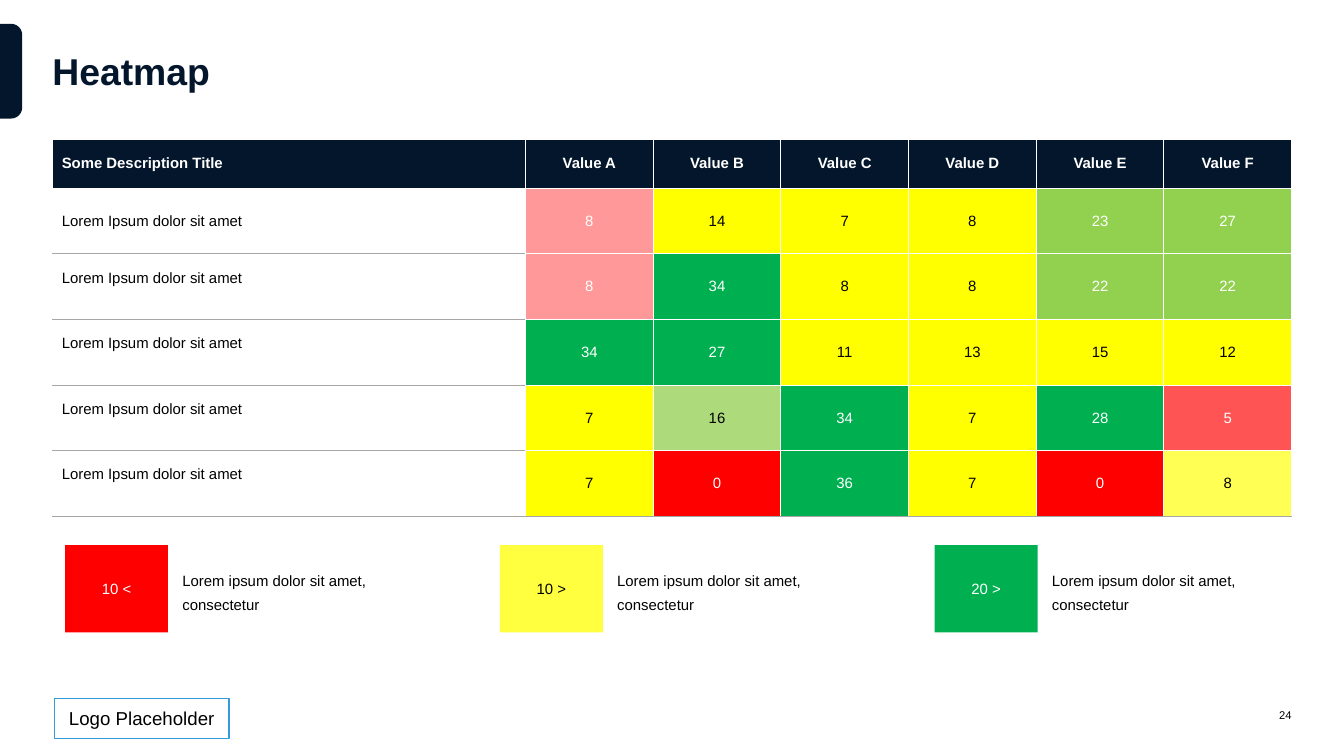
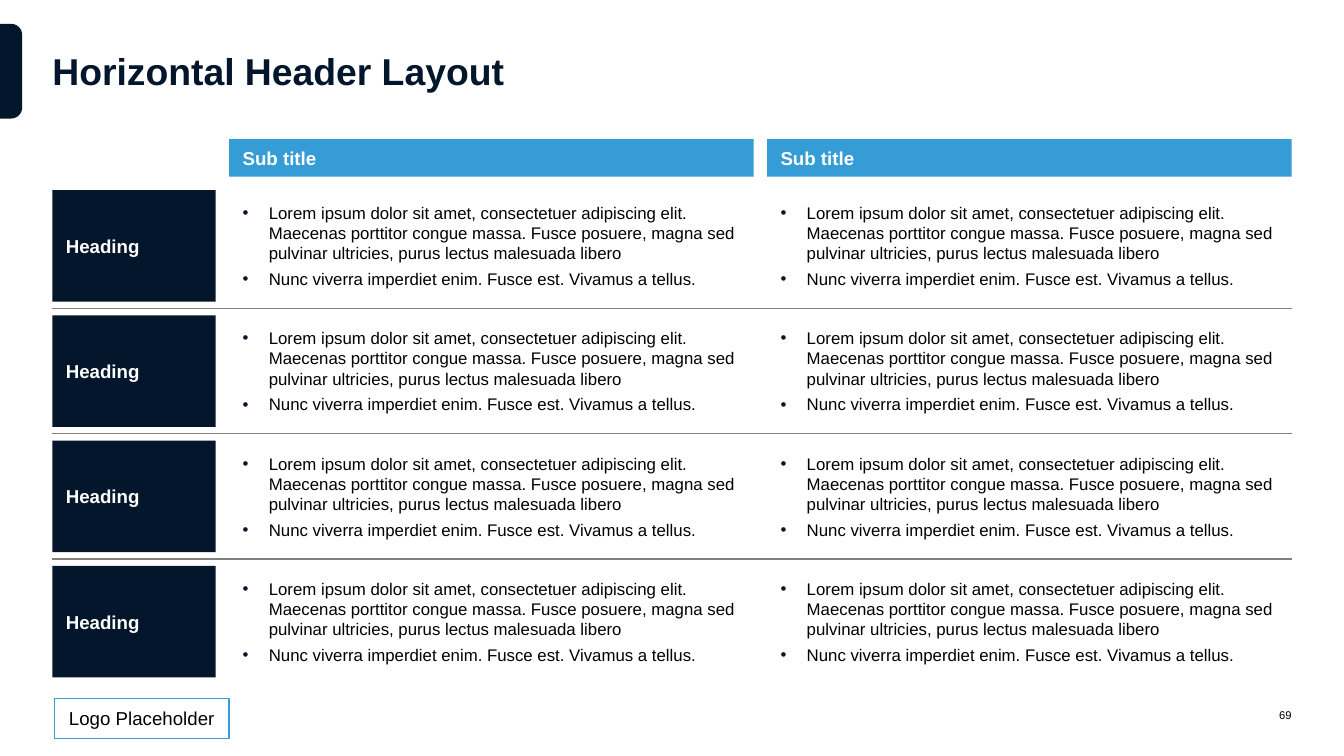
from dataclasses import dataclass
from typing import Any, NamedTuple

from lxml.etree import SubElement
from pptx import Presentation
from pptx.dml.color import RGBColor
from pptx.enum.shapes import MSO_CONNECTOR, MSO_SHAPE
from pptx.enum.text import MSO_ANCHOR, MSO_AUTO_SIZE, PP_ALIGN
from pptx.oxml.ns import qn
from pptx.oxml.xmlchemy import OxmlElement
from pptx.util import Inches, Pt

WIDTH, HEIGHT = 20, 11.25
FONT = "Arial"
COLORS = {
    "navy": "04162B", "blue": "359CD5", "white": "FFFFFF", "black": "000000",
    "silver": "A6A6A6", "gray": "808080", "red": "FF0000", "yellow": "FFFF00",
    "lime": "92D050", "green": "00B050",
}


class Box(NamedTuple):
    """Place and size in percent of the slide's width and height."""
    x: float
    y: float
    w: float
    h: float

    def emu(self) -> tuple[int, int, int, int]:
        return across(self.x), down(self.y), across(self.w), down(self.h)


class Tone(NamedTuple):
    color: str
    ink: str = "white"
    opacity: int = 100


@dataclass
class TextStyle:
    size: float
    color: str = "black"
    bold: bool = False
    align: PP_ALIGN = PP_ALIGN.LEFT
    line_spacing: float | None = None
    insets: tuple[float, float] = (0, 0)  # inches: sides, top and bottom


@dataclass
class HeatRow:
    values: tuple[int, ...]
    tones: str  # one key of TONES per value


class LegendItem(NamedTuple):
    limit: str
    tone: Tone


CENTER = PP_ALIGN.CENTER
TITLE = TextStyle(40, "navy", True)
LOGO = TextStyle(20, align=CENTER, insets=(0.1, 0.05))
NUMBER = TextStyle(12, align=PP_ALIGN.RIGHT)
HEADING = TextStyle(20, "white", True, insets=(0.2, 0.2))
BULLET = TextStyle(18, insets=(0.2, 0.2))
LEGEND = TextStyle(16, line_spacing=1.3, insets=(0.07, 0.04))

LEFT, CONTENT_W, TOP = 3.9, 92.2, 18.4

TONES = {
    "R": Tone("red"),
    "C": Tone("red", opacity=67),
    "P": Tone("red", opacity=40),
    "Y": Tone("yellow", "black"),
    "W": Tone("yellow", "black", 67),
    "M": Tone("lime", "black", 75),
    "L": Tone("lime"),
    "G": Tone("green"),
}
HEAT_ROWS = [
    HeatRow((8, 14, 7, 8, 23, 27), "PYYYLL"),
    HeatRow((8, 34, 8, 8, 22, 22), "PGYYLL"),
    HeatRow((34, 27, 11, 13, 15, 12), "GGYYYY"),
    HeatRow((7, 16, 34, 7, 28, 5), "YMGYGC"),
    HeatRow((7, 0, 36, 7, 0, 8), "YRGYRW"),
]
LEGEND_ITEMS = [
    LegendItem("10 <", Tone("red")),
    LegendItem("10 >", Tone("yellow", "black", 75)),
    LegendItem("20 >", Tone("green")),
]
BULLETS = [
    "Lorem ipsum dolor sit amet, consectetuer adipiscing elit. Maecenas porttitor "
    "congue massa. Fusce posuere, magna sed pulvinar ultricies, purus lectus "
    "malesuada libero",
    "Nunc viverra imperdiet enim. Fusce est. Vivamus a tellus.",
]


def across(share: float) -> int:
    return Inches(WIDTH * share / 100)


def down(share: float) -> int:
    return Inches(HEIGHT * share / 100)


def rgb(name: str) -> RGBColor:
    return RGBColor.from_string(COLORS[name])


def assign(target: Any, values: dict[str, Any]) -> None:
    for name, value in values.items():
        setattr(target, name, value)


def write(p: Any, text: str, style: TextStyle) -> None:
    assign(p, {"alignment": style.align, "line_spacing": style.line_spacing})
    r = p.add_run()
    r.text = text
    assign(r.font, {"name": FONT, "size": Pt(style.size), "bold": style.bold})
    r.font.color.rgb = rgb(style.color)


def set_frame(tf: Any, style: TextStyle) -> None:
    side, end = (Inches(inset) for inset in style.insets)
    assign(tf, {
        "word_wrap": True, "auto_size": MSO_AUTO_SIZE.NONE,
        "vertical_anchor": MSO_ANCHOR.MIDDLE,
        "margin_left": side, "margin_right": side,
        "margin_top": end, "margin_bottom": end,
    })


def paint(fill: Any, props: Any, tone: Tone) -> None:
    """Fill a shape or cell; props is the XML element that holds the fill."""
    fill.solid()
    fill.fore_color.rgb = rgb(tone.color)
    if tone.opacity < 100:
        color = props.find(qn("a:solidFill"))[0]
        SubElement(color, qn("a:alpha"), val=str(tone.opacity * 1000))


def add_text(s: Any, box: Box, text: str, style: TextStyle) -> None:
    tf = s.shapes.add_textbox(*box.emu()).text_frame
    set_frame(tf, style)
    write(tf.paragraphs[0], text, style)


def add_block(s: Any, kind: MSO_SHAPE, box: Box, tone: Tone, text: str = "",
              style: TextStyle = HEADING, outline: str = "") -> Any:
    sp = s.shapes.add_shape(kind, *box.emu())
    sp.shadow.inherit = False
    paint(sp.fill, sp.element.spPr, tone)
    if kind == MSO_SHAPE.ROUNDED_RECTANGLE:
        sp.adjustments[0] = 0
    if outline:
        sp.line.color.rgb = rgb(outline)
        sp.line.width = Pt(1.5)
    else:
        sp.line.fill.background()
    if text:
        set_frame(sp.text_frame, style)
        write(sp.text_frame.paragraphs[0], text, style)
    return sp


def add_rule(s: Any, y: float) -> None:
    line = s.shapes.add_connector(MSO_CONNECTOR.STRAIGHT, across(LEFT), down(y),
                                  across(LEFT + CONTENT_W), down(y))
    line.line.color.rgb = rgb("gray")
    line.line.width = Pt(1.5)
    SubElement(line.element.spPr, qn("a:effectLst"))


def add_bullets(s: Any, box: Box) -> None:
    tf = s.shapes.add_textbox(*box.emu()).text_frame
    set_frame(tf, BULLET)
    for i, text in enumerate(BULLETS):
        p = tf.add_paragraph() if i else tf.paragraphs[0]
        props = p._p.get_or_add_pPr()
        props.set("marL", str(Inches(0.39)))
        props.set("indent", str(-Inches(0.39)))
        SubElement(SubElement(props, qn("a:buClr")), qn("a:srgbClr"), val=COLORS["navy"])
        SubElement(props, qn("a:buFont"), typeface=FONT)
        SubElement(props, qn("a:buChar"), char="•")
        p.space_before, p.space_after = Pt(3 if i else 0), Pt(3)
        write(p, text, BULLET)


def add_slide(prs: Any, title: str, number: int) -> Any:
    """Add a slide with the shared title, side tab, logo box and page number."""
    s = prs.slides.add_slide(prs.slide_layouts[5])
    tab = add_block(s, MSO_SHAPE.ROUND_2_SAME_RECTANGLE,
                    Box(-2.7, 7.95, 7.05, 2.93), Tone("navy"))
    tab.rotation = 90
    tab.adjustments[0] = 0.5
    add_block(s, MSO_SHAPE.ROUNDED_RECTANGLE, Box(4.05, 92.36, 13, 5.33), Tone("white"),
              "Logo Placeholder", LOGO, "blue")
    head = s.shapes.title
    edges = Box(LEFT, 3.1, CONTENT_W, 12.36).emu()
    assign(head, dict(zip(("left", "top", "width", "height"), edges)))
    set_frame(head.text_frame, TITLE)
    write(head.text_frame.paragraphs[0], title, TITLE)
    add_text(s, Box(91.7, 92.36, 4.4, 4.53), str(number), NUMBER)
    return s


def set_borders(props: Any, top: str, bottom: str) -> None:
    sides = {"lnL": "white", "lnR": "white", "lnT": top, "lnB": bottom}
    for i, (side, color) in enumerate(sides.items()):
        ln = OxmlElement(f"a:{side}")
        ln.set("w", str(Pt(1)))
        SubElement(SubElement(ln, qn("a:solidFill")), qn("a:srgbClr"), val=COLORS[color])
        props.insert(i, ln)


def add_heat_table(s: Any) -> None:
    header = ["Some Description Title"] + [f"Value {letter}" for letter in "ABCDEF"]
    head_h, row_h, value_w = 6.5, 8.68, 9.5
    last = len(HEAT_ROWS)
    box = Box(LEFT, TOP, CONTENT_W, head_h + row_h * last)
    table = s.shapes.add_table(last + 1, len(header), *box.emu()).table
    table.horz_banding = False
    for j, column in enumerate(table.columns):
        column.width = across(value_w if j else CONTENT_W - value_w * (len(header) - 1))
    for i, row in enumerate(table.rows):
        row.height = down(row_h if i else head_h)
        for j, cell in enumerate(row.cells):
            if i == 0:
                text, tone = header[j], Tone("navy")
            elif j == 0:
                text, tone = "Lorem Ipsum dolor sit amet", Tone("white", "black")
            else:
                data = HEAT_ROWS[i - 1]
                text, tone = str(data.values[j - 1]), TONES[data.tones[j - 1]]
            raised = j == 0 and i > 1
            assign(cell, {
                "vertical_anchor": MSO_ANCHOR.MIDDLE,
                "margin_left": Inches(0.08 if j else 0.14), "margin_right": Inches(0.08),
                "margin_top": Inches(0.04), "margin_bottom": Inches(0.3 if raised else 0.04),
            })
            style = TextStyle(16, tone.ink, i == 0, CENTER if j else PP_ALIGN.LEFT)
            write(cell.text_frame.paragraphs[0], text, style)
            props = cell._tc.get_or_add_tcPr()
            paint(cell.fill, props, tone)
            ruled = i == last or (j == 0 and i > 0)
            set_borders(props, "silver" if raised else "white",
                        "silver" if ruled else "white")


def build_heatmap(prs: Any) -> None:
    s = add_slide(prs, "Heatmap", 24)
    add_heat_table(s)
    for i, item in enumerate(LEGEND_ITEMS):
        x = 4.85 + 32.35 * i
        add_block(s, MSO_SHAPE.ROUNDED_RECTANGLE, Box(x, 72.09, 7.65, 11.56), item.tone,
                  item.limit, TextStyle(16, item.tone.ink, align=CENTER, insets=(0.07, 0.04)))
        add_text(s, Box(x + 8.37, 74.58, 18.6, 6.93),
                 "Lorem ipsum dolor sit amet, consectetur", LEGEND)


def build_header_layout(prs: Any) -> None:
    s = add_slide(prs, "Horizontal Header Layout", 69)
    rows, columns = 4, 2
    heading_w, gap_x, row_h, gap_y = 12.15, 1, 14.76, 1.8
    column_w = (CONTENT_W - heading_w - columns * gap_x) / columns
    column_xs = [LEFT + heading_w + gap_x + j * (column_w + gap_x) for j in range(columns)]
    for x in column_xs:
        add_block(s, MSO_SHAPE.RECTANGLE, Box(x, TOP, column_w, 4.98), Tone("blue"),
                  "Sub title")
    for i in range(rows):
        y = 25.16 + i * (row_h + gap_y)
        add_block(s, MSO_SHAPE.RECTANGLE, Box(LEFT, y, heading_w, row_h), Tone("navy"),
                  "Heading")
        for x in column_xs:
            add_bullets(s, Box(x, y, column_w, row_h))
        if i:
            add_rule(s, y - gap_y / 2)


def main() -> None:
    prs = Presentation()
    prs.slide_width, prs.slide_height = Inches(WIDTH), Inches(HEIGHT)
    build_heatmap(prs)
    build_header_layout(prs)
    prs.save("out.pptx")


if __name__ == "__main__":
    main()
